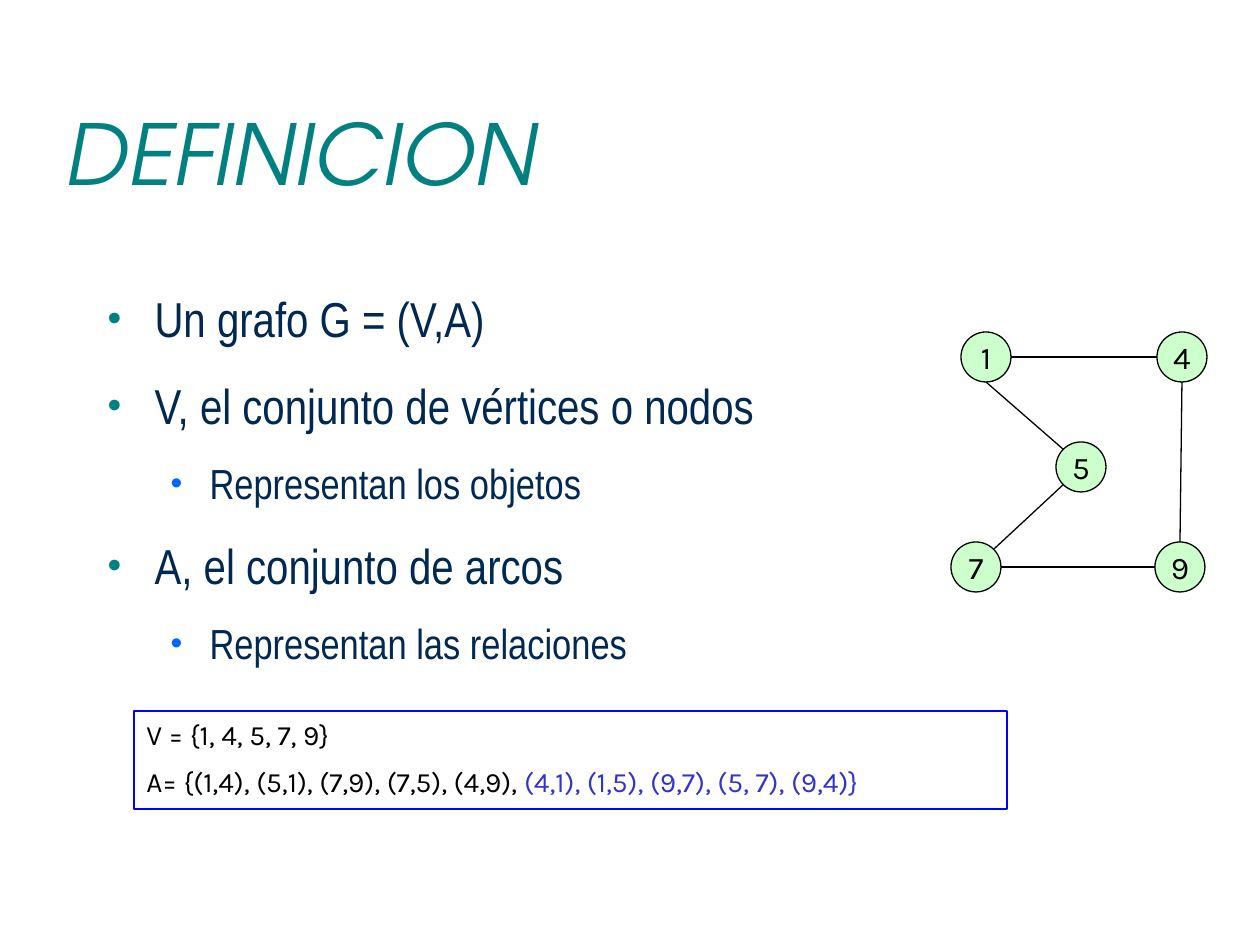
from lxml import etree
from pptx import Presentation
from pptx.dml.color import RGBColor
from pptx.enum.shapes import MSO_CONNECTOR, MSO_SHAPE
from pptx.enum.text import MSO_ANCHOR, MSO_AUTO_SIZE, PP_ALIGN
from pptx.oxml.ns import qn
from pptx.util import Emu, Pt

RECTANGLE, OVAL = MSO_SHAPE.RECTANGLE, MSO_SHAPE.OVAL
STRAIGHT = MSO_CONNECTOR.STRAIGHT
LEFT, CENTER = PP_ALIGN.LEFT, PP_ALIGN.CENTER
TOP, MIDDLE = MSO_ANCHOR.TOP, MSO_ANCHOR.MIDDLE
NO_FIT = MSO_AUTO_SIZE.NONE

PIXEL = 914400 / 126
RADIUS = 25
DIAGONAL = 0.71
SIDES = {
    "right": (1, 0), "left": (-1, 0), "top": (0, -1), "bottom": (0, 1),
    "upper left": (-DIAGONAL, -DIAGONAL),
    "lower left": (-DIAGONAL, DIAGONAL),
    "upper right": (DIAGONAL, -DIAGONAL),
}
BLACK = "000000"
LEVELS = [
    {"size": 28, "bullet": "008080", "margin": 47, "indent": -47},
    {"size": 24, "bullet": "0066FF", "margin": 102, "indent": -39},
]
DEFINITION = [
    ("Un grafo G = (V,A)", 0),
    ("V, el conjunto de vértices o nodos", 0),
    ("Representan los objetos", 1),
    ("A, el conjunto de arcos", 0),
    ("Representan las relaciones", 1),
]
NODES = {
    "1": (986, 357), "4": (1182, 357), "5": (1081, 467),
    "7": (976, 567), "9": (1180, 567),
}
ARCS = [
    ("1", "right", "4", "left"),
    ("1", "bottom", "5", "upper left"),
    ("5", "lower left", "7", "upper right"),
    ("7", "right", "9", "left"),
    ("9", "top", "4", "bottom"),
]
SETS = [
    [("V = {1, 4, 5, 7, 9}", BLACK)],
    [("A= {(1,4), (5,1), (7,9), (7,5), (4,9), ", BLACK),
     ("(4,1), (1,5), (9,7), (5, 7), (9,4)}", "3333CC")],
]


def px(value):
    return Emu(round(value * PIXEL))


def color(value):
    return RGBColor.from_string(value)


def place(holder, left, top, width, height):
    holder.left, holder.top = px(left), px(top)
    holder.width, holder.height = px(width), px(height)


def style(run, font, size, hue, italic=False):
    run.font.name = font
    run.font.size = Pt(size)
    run.font.color.rgb = color(hue)
    run.font.italic = italic


def space_before(paragraph, percent):
    spacing = etree.SubElement(paragraph._p.get_or_add_pPr(), qn("a:spcBef"))
    etree.SubElement(spacing, qn("a:spcPct"), val=str(percent * 1000))


def add_bullet(paragraph, hue, margin, indent):
    properties = paragraph._p.get_or_add_pPr()
    properties.set("marL", str(px(margin)))
    properties.set("indent", str(px(indent)))
    tint = etree.SubElement(properties, qn("a:buClr"))
    etree.SubElement(tint, qn("a:srgbClr"), val=hue)
    etree.SubElement(properties, qn("a:buSzPct"), val="80000")
    etree.SubElement(properties, qn("a:buChar"), char="•")


def add_outlined(slide, preset, box, outline, fill=None):
    shape = slide.shapes.add_shape(preset, *map(px, box))
    shape.shadow.inherit = False
    if fill:
        shape.fill.solid()
        shape.fill.fore_color.rgb = color(fill)
    else:
        shape.fill.background()
    shape.line.color.rgb = color(outline)
    shape.line.width = Pt(0.75)
    return shape


def write_title(slide):
    title = slide.shapes.title
    place(title, 53, 73, 1134, 158)
    title.text_frame.text = "DEFINICION"
    title.text_frame.vertical_anchor = MIDDLE
    title.text_frame.auto_size = NO_FIT
    heading = title.text_frame.paragraphs[0]
    heading.alignment = LEFT
    style(heading.runs[0], "TeX Gyre Adventor", 48, "008080", italic=True)


def write_definition(slide):
    body = slide.placeholders[1]
    place(body, 95, 265, 1071, 567)
    frame = body.text_frame
    frame.text = "\n".join(wording for wording, _ in DEFINITION)
    frame.auto_size = NO_FIT
    for paragraph, (_, depth) in zip(frame.paragraphs, DEFINITION):
        level = LEVELS[depth]
        paragraph.level = depth
        paragraph.line_spacing = 1.3
        space_before(paragraph, 20)
        add_bullet(paragraph, level["bullet"], level["margin"], level["indent"])
        style(paragraph.runs[0], "Arial Narrow", level["size"], "002850")


def add_sets(slide):
    sets = add_outlined(slide, RECTANGLE, (134, 711, 873, 98), "0000FF")
    frame = sets.text_frame
    frame.word_wrap = True
    frame.vertical_anchor = TOP
    frame.text = "\n".join("" for _ in SETS)
    for paragraph, pieces in zip(frame.paragraphs, SETS):
        paragraph.alignment = LEFT
        space_before(paragraph, 50)
        for wording, hue in pieces:
            run = paragraph.add_run()
            run.text = wording
            style(run, "Karla", 16, hue)


def add_node(slide, label, center):
    x, y = center
    box = (x - RADIUS, y - RADIUS, 2 * RADIUS, 2 * RADIUS)
    node = add_outlined(slide, OVAL, box, BLACK, "CCFFCC")
    frame = node.text_frame
    frame.text = label
    frame.word_wrap = False
    frame.vertical_anchor = MIDDLE
    frame.paragraphs[0].alignment = CENTER
    style(frame.paragraphs[0].runs[0], "Karla", 18, BLACK)


def rim(label, side):
    return [px(c + RADIUS * d) for c, d in zip(NODES[label], SIDES[side])]


def add_arc(slide, start, start_side, end, end_side):
    arc = slide.shapes.add_connector(
        STRAIGHT, *rim(start, start_side), *rim(end, end_side))
    arc.line.color.rgb = color(BLACK)
    arc.line.width = Pt(0.75)
    etree.SubElement(arc._element.spPr, qn("a:effectLst"))


def main():
    presentation = Presentation()
    presentation.slide_width, presentation.slide_height = px(1260), px(945)
    slide = presentation.slides.add_slide(presentation.slide_layouts[1])
    write_title(slide)
    write_definition(slide)
    add_sets(slide)
    for label, center in NODES.items():
        add_node(slide, label, center)
    for arc in ARCS:
        add_arc(slide, *arc)
    presentation.save("out.pptx")


main()
